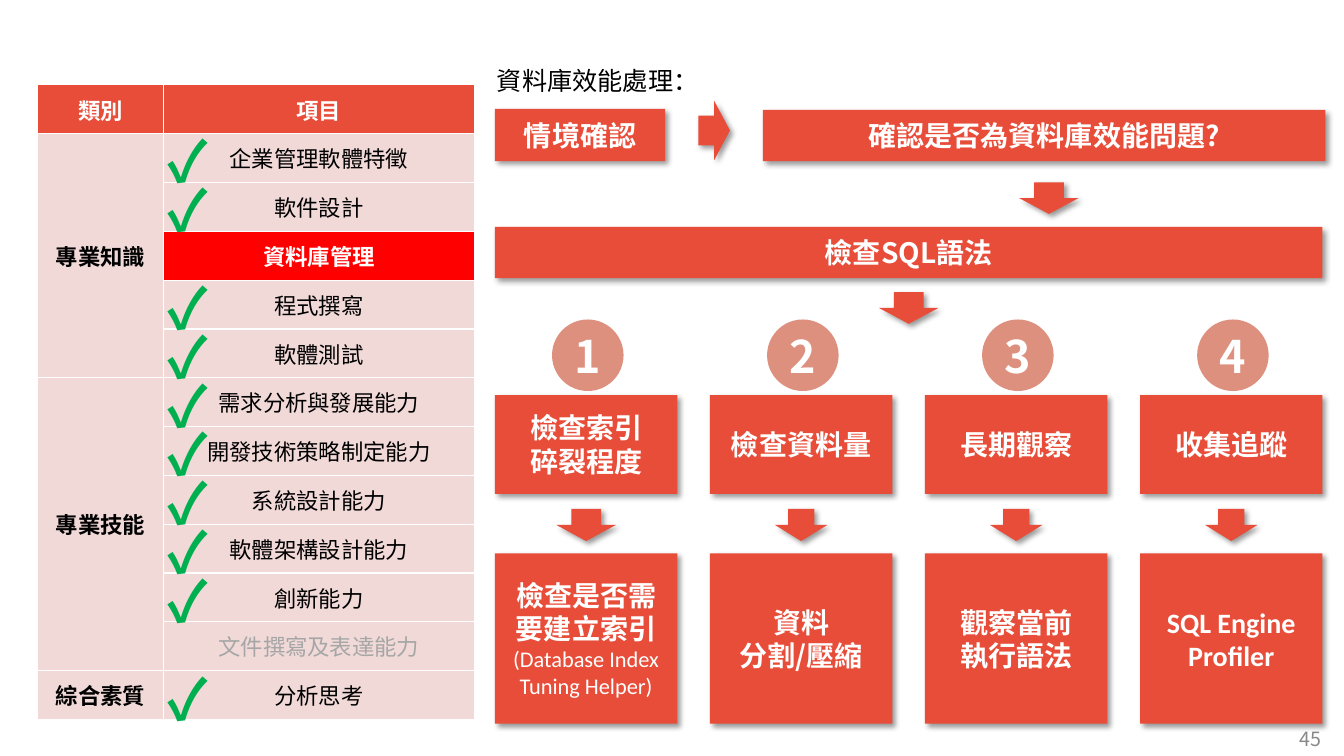
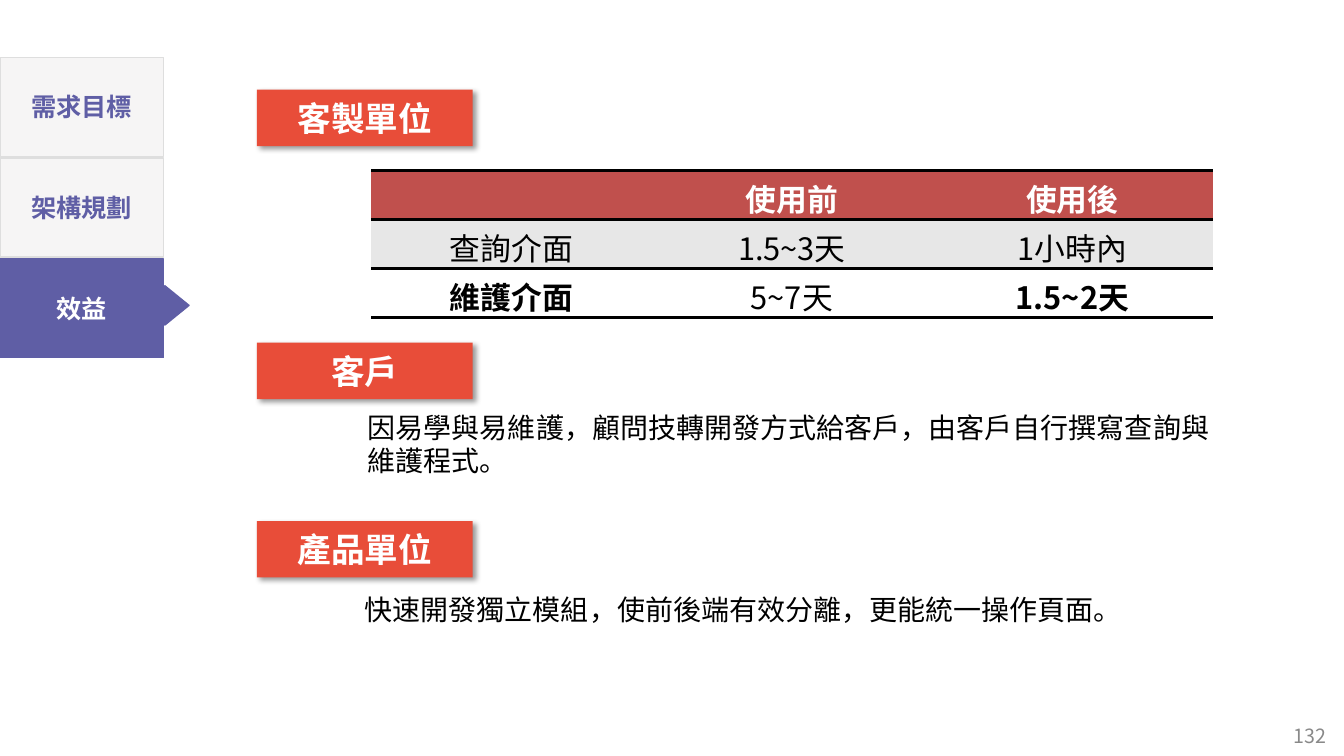
import pptx
import pptx.dml.color
import pptx.enum.shapes
import pptx.enum.text
import pptx.oxml
import pptx.oxml.ns
import pptx.util
from lxml import etree

Pt = pptx.util.Pt
SHAPE = pptx.enum.shapes.MSO_SHAPE
ALIGN = pptx.enum.text.PP_ALIGN
ANCHOR = pptx.enum.text.MSO_ANCHOR
qn = pptx.oxml.ns.qn

# Shared look
CJK, LATIN = "Noto Sans CJK SC", "Calibri"
RED, WHITE, BLACK, GREY = "E84D39", "FFFFFF", "000000", "898989"
PINK, HIGHLIGHT, FADED, GREEN = "F1D9D8", "FF0000", "A6A6A6", "00B050"
BADGE, PURPLE, TAB, TAB_EDGE = "CF5C43", "5F5EA5", "F6F5F5", "DEDEDE"
HEADER, BAND = "C0504D", "E7E7E7"
PLAIN_TABLE_STYLE = "{2D5ABB26-0587-4C30-8999-92F81FD0307C}"

# Content of slide 1: skill list (state: done, now or open) and troubleshooting flow
SKILL_HEAD = ("類別", "項目")
SKILLS = [
    ("專業知識", [("企業管理軟體特徵", "done"), ("軟件設計", "done"),
              ("資料庫管理", "now"), ("程式撰寫", "done"), ("軟體測試", "done")]),
    ("專業技能", [("需求分析與發展能力", "done"), ("開發技術策略制定能力", "done"),
              ("系統設計能力", "done"), ("軟體架構設計能力", "done"),
              ("創新能力", "done"), ("文件撰寫及表達能力", "open")]),
    ("綜合素質", [("分析思考", "done")]),
]
ITEM_LOOK = {  # state: (fill, text colour, bold)
    "done": (PINK, BLACK, False),
    "now": (HIGHLIGHT, WHITE, True),
    "open": (PINK, FADED, False),
}
FLOW_TITLE = "資料庫效能處理："
FLOW_STEPS = [  # text, box
    ("情境確認", (353.5, 77.8, 121.7, 37.4)),
    ("確認是否為資料庫效能問題?", (545, 78.5, 401.8, 36.7)),
    ("檢查SQL語法", (353.5, 162, 591.1, 36.7)),
]
FLOW_ARROWS = [  # centre x, centre y, rotation
    (510.1, 93.2, 0), (749.2, 141.5, 90), (649.1, 220, 90),
]
SMALL = {"size": 16, "font": LATIN, "bold": False}
CHECKS = [  # check, action, arrow span
    (["檢查索引", "碎裂程度"],
     ["檢查是否需要建立索引", ("(Database Index", SMALL), ("Tuning Helper)", SMALL)], 42.5),
    (["檢查資料量"], ["資料", "分割/壓縮"], 37.4),
    (["長期觀察"], ["觀察當前", "執行語法"], 37.4),
    (["收集追蹤"],
     [("SQL Engine", {"font": LATIN}), ("Profiler", {"font": LATIN})], 37.4),
]

# Content of slide 2
TABS = ["需求目標", "架構規劃", "效益"]
ACTIVE_TAB = 2
UNITS = [("客製單位", 64.1), ("客戶", 244.8), ("產品單位", 372.2)]  # text, top
TIMES = [
    ["", "使用前", "使用後"],
    ["查詢介面", "1.5~3天", "1小時內"],
    ["維護介面", "5~7天", "1.5~2天"],
]
BOLD_TIMES = {"使用前", "使用後", "維護介面", "1.5~2天"}
CUSTOMER_GAIN = "因易學與易維護，顧問技轉開發方式給客戶，由客戶自行撰寫查詢與維護程式。"
PRODUCT_GAIN = "快速開發獨立模組，使前後端有效分離，更能統一操作頁面。"


def rgb(code):
    return pptx.dml.color.RGBColor.from_string(code)


def points(values):
    return [Pt(v) for v in values]


def set_font(paragraph, size, color, bold=False, font=CJK):
    face = paragraph.font
    face.size, face.bold, face.name = Pt(size), bold, font
    face.color.rgb = rgb(color)
    east_asian = etree.SubElement(face._element, qn("a:ea"))
    east_asian.set("typeface", font)


def write(frame, lines, align=ALIGN.CENTER, **style):
    """Write one paragraph a line; a line may carry its own style."""
    for i, line in enumerate(lines):
        text, own = (line, {}) if isinstance(line, str) else line
        paragraph = frame.paragraphs[0] if i == 0 else frame.add_paragraph()
        paragraph.text, paragraph.alignment = text, align
        set_font(paragraph, **{**style, **own})


def add_text(slide, text, box, wrap=True, anchor=ANCHOR.TOP, grow=True, **style):
    frame = slide.shapes.add_textbox(*points(box)).text_frame
    frame.word_wrap, frame.vertical_anchor = wrap, anchor
    if grow:
        frame.auto_size = pptx.enum.text.MSO_AUTO_SIZE.SHAPE_TO_FIT_TEXT
    write(frame, [text], **style)


def add_page_number(slide, number, top):
    add_text(slide, number, (912, top, 48, 24), anchor=ANCHOR.MIDDLE, grow=False,
             size=14, color=GREY)


def add_block(slide, kind, box, fill, lines=(), edge=None, rotation=0, **style):
    block = slide.shapes.add_shape(kind, *points(box))
    block.shadow.inherit = False
    block.rotation = rotation
    block.fill.solid()
    block.fill.fore_color.rgb = rgb(fill)
    if edge:
        block.line.color.rgb, block.line.width = rgb(edge), Pt(1)
    else:
        block.line.fill.background()
    block.text_frame.word_wrap = True
    block.text_frame.vertical_anchor = ANCHOR.MIDDLE
    write(block.text_frame, lines, **style)
    return block


def add_red_block(slide, kind, box, lines=(), size=20, rotation=0):
    block = add_block(slide, kind, box, RED, lines, rotation=rotation,
                      size=size, color=WHITE, bold=True)
    block._element.spPr.find(qn("a:effectLst")).append(pptx.oxml.parse_xml(
        f'<a:outerShdw {pptx.oxml.ns.nsdecls("a")} blurRad="{Pt(4)}" dist="{Pt(3)}" '
        'dir="2700000" algn="tl" rotWithShape="0"><a:srgbClr val="000000">'
        '<a:alpha val="40000"/></a:srgbClr></a:outerShdw>'))


def add_arrow(slide, x, y, rotation, span=42.5, length=22.6):
    add_red_block(slide, SHAPE.RIGHT_ARROW, (x - length / 2, y - span / 2, length, span),
                  rotation=rotation)


def add_plain_table(slide, box, row_count, widths):
    table = slide.shapes.add_table(row_count, len(widths), *points(box)).table
    table._tbl.tblPr.find(qn("a:tableStyleId")).text = PLAIN_TABLE_STYLE
    table.first_row = table.horz_banding = False
    for column, width in zip(table.columns, widths):
        column.width = Pt(width)
    for row in table.rows:
        row.height = Pt(box[3] / row_count)
    return table


def set_cell(cell, text, fill, edges, edge_color, edge_width, margins,
             anchor=ANCHOR.TOP, **style):
    properties = cell._tc.get_or_add_tcPr()
    for side in edges:
        properties.append(pptx.oxml.parse_xml(
            f'<a:ln{side} {pptx.oxml.ns.nsdecls("a")} w="{Pt(edge_width)}"><a:solidFill>'
            f'<a:srgbClr val="{edge_color}"/></a:solidFill></a:ln{side}>'))
    cell.fill.solid()
    cell.fill.fore_color.rgb = rgb(fill)
    cell.margin_left = cell.margin_right = Pt(margins[0])
    cell.margin_top = cell.margin_bottom = Pt(margins[1])
    cell.vertical_anchor = anchor
    if text:
        write(cell.text_frame, [text], **style)


def add_skill_table(slide):
    left, top, width, height = 26.9, 60.6, 311.8, 453.6
    row_count = 1 + sum(len(items) for _, items in SKILLS)
    table = add_plain_table(slide, (left, top, width, height), row_count, (90, 221.8))

    def fill_cell(row, column, text, fill, color, bold):
        set_cell(table.cell(row, column), text, fill, "LRTB", WHITE, 1, (0, 0),
                 ANCHOR.MIDDLE, size=16, color=color, bold=bold)

    for column, text in enumerate(SKILL_HEAD):
        fill_cell(0, column, text, RED, WHITE, True)
    row = 1
    for category, items in SKILLS:
        if len(items) > 1:
            table.cell(row, 0).merge(table.cell(row + len(items) - 1, 0))
        for i, (item, state) in enumerate(items):
            fill_cell(row, 0, "" if i else category, PINK, BLACK, True)
            fill_cell(row, 1, item, *ITEM_LOOK[state])
            if state == "done":
                tick_top = top + row * height / row_count - 8.4
                add_text(slide, "✓", (111.2, tick_top, 46.1, 55.4), wrap=False,
                         size=40, color=GREEN, bold=True)
            row += 1


def add_check_columns(slide):
    first, step, width, badge = 353.5, 153.6, 130.3, 51.1
    for i, (check, action, span) in enumerate(CHECKS):
        left = first + i * step
        center = left + width / 2
        add_red_block(slide, SHAPE.RECTANGLE, (left, 282.2, width, 70.6), check)
        add_red_block(slide, SHAPE.RECTANGLE, (left, 395.3, width, 121.7), action)
        add_arrow(slide, center, 375, 90, span, 23)
        circle = add_block(slide, SHAPE.OVAL, (center - badge / 2 + 1.2, 228.2, badge, badge),
                           BADGE, [str(i + 1)], size=32, color=WHITE, bold=True)
        tint = circle._element.spPr.find(qn("a:solidFill"))[0]
        etree.SubElement(tint, qn("a:alpha")).set("val", "68000")


def build_tuning_slide(slide):
    add_skill_table(slide)
    add_text(slide, FLOW_TITLE, (347.8, 43.2, 158.4, 30.2), wrap=False,
             align=ALIGN.LEFT, size=18, color=BLACK)
    for text, box in FLOW_STEPS:
        add_red_block(slide, SHAPE.RECTANGLE, box, [text])
    for arrow in FLOW_ARROWS:
        add_arrow(slide, *arrow)
    add_check_columns(slide)
    add_page_number(slide, "45", 515.8)


def add_tabs(slide):
    for i, text in enumerate(TABS):
        active = i == ACTIVE_TAB
        add_block(slide, SHAPE.RECTANGLE, (0, 41 + 72 * i, 116.9, 70.6),
                  PURPLE if active else TAB, [text], PURPLE if active else TAB_EDGE,
                  size=18, color=WHITE if active else PURPLE, bold=True)
    add_block(slide, SHAPE.FLOWCHART_EXTRACT, (112.3, 209.5, 28.1, 17.3), PURPLE,
              edge=PURPLE, rotation=90)


def add_time_table(slide):
    table = add_plain_table(slide, (265, 121.7, 601.2, 104.4), len(TIMES), [200.4] * 3)
    row_looks = [(HEADER, WHITE, "TB"), (BAND, BLACK, "T"), (WHITE, BLACK, "B")]
    for row, (texts, (fill, color, edges)) in enumerate(zip(TIMES, row_looks)):
        for column, text in enumerate(texts):
            set_cell(table.cell(row, column), text, fill, edges, BLACK, 2, (7.2, 4.3),
                     size=22, color=color, bold=text in BOLD_TIMES)


def build_benefit_slide(slide):
    add_time_table(slide)
    for text, top in UNITS:
        add_red_block(slide, SHAPE.RECTANGLE, (183.6, top, 154.1, 40.3), [text], size=24)
    gain_style = {"align": ALIGN.LEFT, "size": 20, "color": BLACK}
    add_text(slide, CUSTOMER_GAIN, (255.6, 289.4, 632.2, 55.4), **gain_style)
    add_text(slide, PRODUCT_GAIN, (253.4, 419.8, 560.2, 31.7), wrap=False, **gain_style)
    add_tabs(slide)
    add_page_number(slide, "132", 513.6)


def main():
    deck = pptx.Presentation()
    deck.slide_width, deck.slide_height = Pt(960), Pt(540)
    blank = deck.slide_layouts[6]
    for build in (build_tuning_slide, build_benefit_slide):
        build(deck.slides.add_slide(blank))
    deck.save("out.pptx")


if __name__ == "__main__":
    main()
